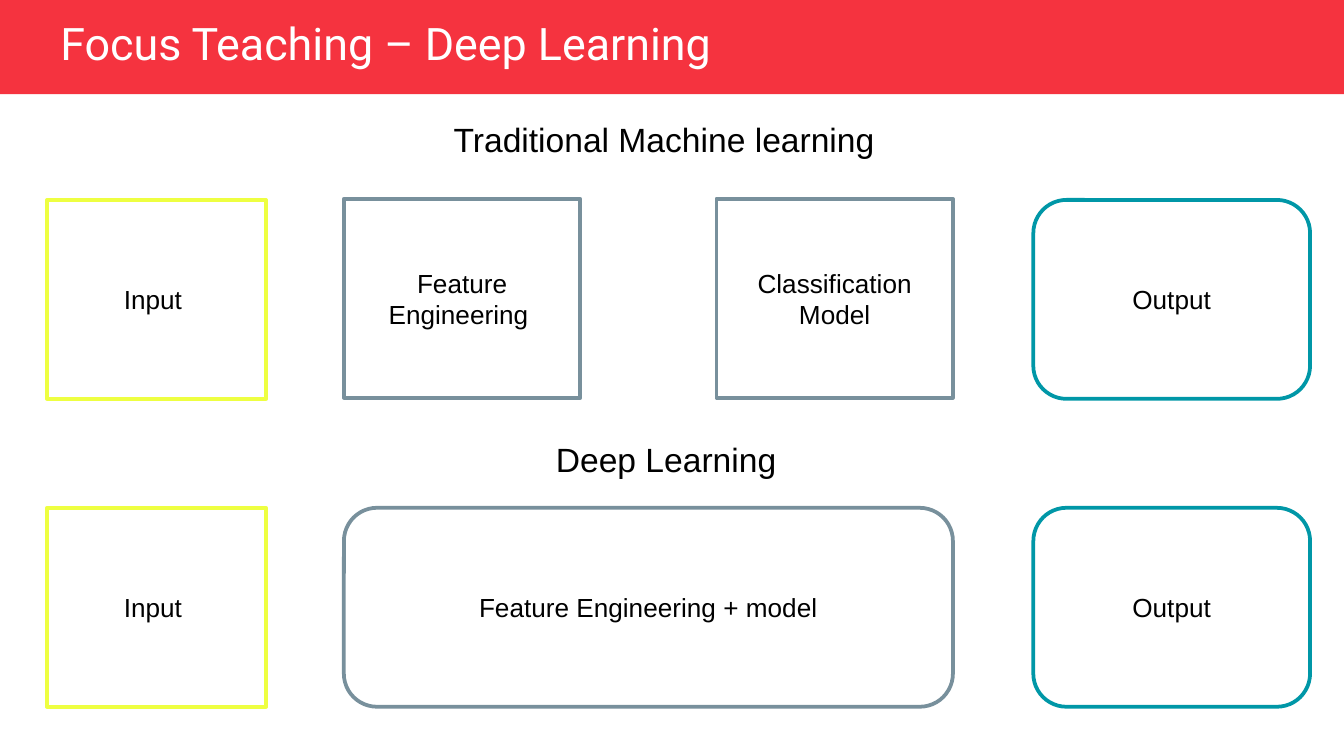
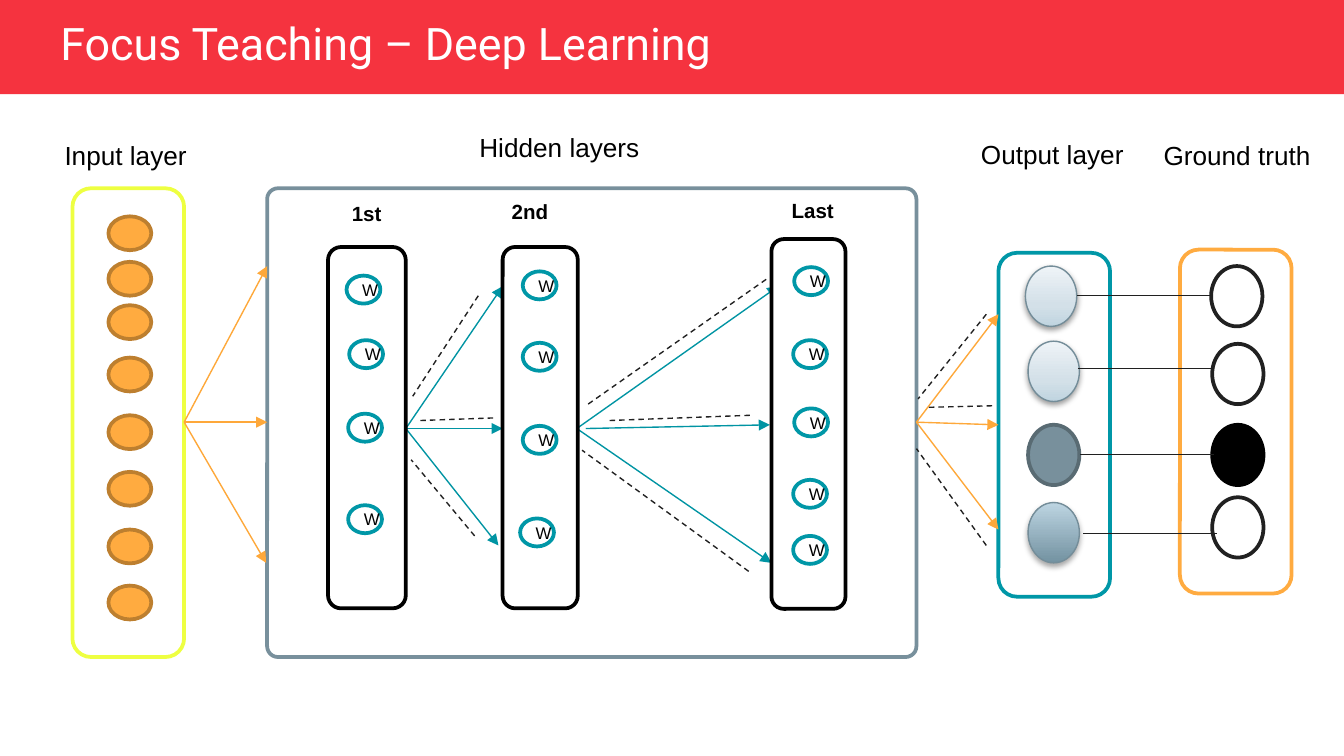
from dataclasses import dataclass
from lxml.etree import SubElement as Sub
from pptx import Presentation
from pptx.dml.color import RGBColor as Rgb
from pptx.enum.dml import MSO_LINE as Dash
from pptx.enum.shapes import MSO_CONNECTOR as Conn, MSO_SHAPE as Kind
from pptx.enum.text import MSO_ANCHOR as Anchor, MSO_AUTO_SIZE as Auto, PP_ALIGN as Align
from pptx.oxml.ns import qn
from pptx.util import Cm, Pt


@dataclass(frozen=True)
class Theme:
    red: str = "F5333F"
    white: str = "FFFFFF"
    black: str = "000000"
    yellow: str = "EEFF41"
    slate: str = "78909C"
    teal: str = "0097A7"
    orange: str = "FFAB40"
    brown: str = "BD7F2F"
    ink: str = "212121"
    steel: str = "596B73"
    rim: str = "748D99"
    flow: str = "FEA83A"
    weight: str = "0094A3"
    link: str = "202020"
    pale: tuple = ((0, "C0D4E0"), (35, "D3E0E8"), (100, "EEF3F7"))
    deep: tuple = ((0, "7392A1"), (100, "BDD5E2"))
    sans: str = "Arial"
    head: str = "Roboto"
    title: int = 24
    topic: int = 18
    text: int = 14
    tag: int = 11
    node: int = 9
    thick: float = 2
    thin: float = 0.75


T = Theme()
TITLE = "Focus Teaching – Deep Learning"


def color(code):
    return Rgb.from_string(code)


def write(frame, text, size, align=Align.CENTER, tint=T.black, face=T.sans, bold=None):
    frame.text = text
    para = frame.paragraphs[0]
    para.alignment = align
    para.font.size = Pt(size)
    para.font.name = face
    para.font.bold = bold
    para.font.color.rgb = color(tint)
    return para


def shape(part, kind, at, line=None, fill=T.white, text="", size=T.text, width=T.thick):
    item = part.add_shape(kind, *map(Cm, at))
    item.shadow.inherit = False
    item.fill.solid()
    item.fill.fore_color.rgb = color(fill)
    if line:
        item.line.color.rgb = color(line)
        item.line.width = Pt(width)
    else:
        item.line.fill.background()
    if text:
        item.text_frame.vertical_anchor = Anchor.MIDDLE
        write(item.text_frame, text, size)
    return item


def label(part, at, text, size=T.text, align=Align.LEFT, bold=None):
    frame = part.add_textbox(*map(Cm, at)).text_frame
    frame.word_wrap = True
    frame.auto_size = Auto.SHAPE_TO_FIT_TEXT
    write(frame, text, size, align, bold=bold)


def line(part, start, end, tint, arrow=False, dash=False):
    item = part.add_connector(Conn.STRAIGHT, *map(Cm, (*start, *end)))
    item.line.color.rgb = color(tint)
    item.line.width = Pt(T.thin)
    if dash:
        item.line.dash_style = Dash.DASH
    if arrow:
        Sub(item.line._get_or_add_ln(), qn("a:tailEnd"), type="triangle")
    Sub(item._element.spPr, qn("a:effectLst"))


def fan(part, start, ends, tint):
    for end in ends:
        line(part, start, end, tint, arrow=True)


def shade(item, stops, alpha, drop):
    item.fill.gradient()
    item.fill.gradient_angle = 90
    props = item._element.spPr
    bag = props.find(qn("a:gradFill")).find(qn("a:gsLst"))
    for old in list(bag):
        bag.remove(old)
    for pos, code in stops:
        stop = Sub(bag, qn("a:gs"), pos=str(pos * 1000))
        Sub(stop, qn("a:srgbClr"), val=code)
    cast = Sub(props.find(qn("a:effectLst")), qn("a:outerShdw"), blurRad=str(Pt(3.1)),
               dist=str(Pt(drop)), dir="5400000", rotWithShape="0")
    tint = Sub(cast, qn("a:srgbClr"), val=T.black)
    Sub(tint, qn("a:alpha"), val=str(alpha * 1000))


def panel(part, at, tint):
    group = part.add_group_shape().shapes
    shape(group, Kind.ROUNDED_RECTANGLE, at, tint)
    return group


def band(deck, layout):
    slide = deck.slides.add_slide(layout)
    bar = shape(slide.shapes, Kind.RECTANGLE, (0, 0, 25.4, 1.78), fill=T.red)
    layout.shapes._spTree.insert(2, bar._element)
    return slide


def head(slide):
    title = slide.shapes.title
    title.left, title.top, title.width, title.height = map(Cm, (0.89, 0.33, 16.99, 1.07))
    frame = title.text_frame
    frame.vertical_anchor = Anchor.MIDDLE
    frame.margin_left = frame.margin_right = Cm(0.25)
    frame.margin_top = frame.margin_bottom = Cm(0.13)
    write(frame, TITLE, T.title, Align.LEFT, T.white, T.head).line_spacing = 0.9
    return slide.shapes


def compare(part):
    tall = 3.76
    square, rounded = Kind.RECTANGLE, Kind.ROUNDED_RECTANGLE
    label(part, (0.89, 2.13, 23.5, 1.02), "Traditional Machine learning ", T.topic, Align.CENTER)
    label(part, (0.84, 8.18, 23.5, 1.02), "Deep Learning", T.topic, Align.CENTER)
    for top in (3.78, 9.6):
        shape(part, square, (0.89, top, 4.14, tall), T.yellow, text="Input ")
        shape(part, rounded, (19.53, top, 5.23, tall), T.teal, text="Output")
    for left, text in ((6.5, "Feature Engineering "), (13.54, "Classification Model")):
        shape(part, square, (left, 3.76, 4.47, tall), T.slate, text=text)
    shape(part, rounded, (6.5, 9.6, 11.51, tall), T.slate, text="Feature Engineering + model")


def inputs(part):
    group = panel(part, (1.37, 3.56, 2.11, 8.86), T.yellow)
    for top in (4.09, 4.95, 5.77, 6.76, 7.85, 8.92, 10.01, 11.07):
        shape(group, Kind.OVAL, (2.05, top, 0.81, 0.64), T.brown, T.orange)


def outputs(part):
    group = panel(part, (18.87, 4.78, 2.11, 6.5), T.teal)
    for left, top, stops, alpha, drop in ((19.38, 5.03, T.pale, 38, 1.6),
                                          (19.43, 6.45, T.pale, 38, 1.6),
                                          (19.43, 9.5, T.deep, 35, 1.8)):
        item = shape(group, Kind.OVAL, (left, top, 0.97, 1.14), T.rim, width=T.thin)
        shade(item, stops, alpha, drop)
    shape(group, Kind.OVAL, (19.43, 8.03, 0.97, 1.14), T.steel, T.slate)


def truth(part):
    group = panel(part, (22.3, 4.72, 2.11, 6.5), T.orange)
    for left, top, rim, fill in ((22.89, 5.03, T.ink, T.white), (22.91, 6.5, T.ink, T.white),
                                 (22.91, 8.03, T.black, T.black), (22.91, 9.4, T.ink, T.white)):
        shape(group, Kind.OVAL, (left, top, 0.97, 1.14), rim, fill)


def layer(part, at, nodes):
    group = panel(part, at, T.black)
    for left, top in nodes:
        shape(group, Kind.OVAL, (left, top, 0.64, 0.53), T.teal, text="W", size=T.node)


def network(part):
    frame = shape(part, Kind.ROUNDED_RECTANGLE, (5.05, 3.56, 12.27, 8.86), T.slate)
    frame.adjustments[0] = 0.023
    for left, top, wide, text in ((0.97, 2.51, 2.95, "Input layer"),
                                  (18.29, 2.49, 3.45, "Output layer"),
                                  (21.74, 2.51, 3.32, "Ground truth"),
                                  (8.81, 2.36, 3.86, "Hidden layers")):
        label(part, (left, top, wide, 0.86), text)
    inputs(part)
    outputs(part)
    truth(part)
    fan(part, (3.48, 7.98), ((5.05, 5.03), (5.03, 10.64), (5.05, 7.98)), T.flow)
    fan(part, (17.32, 7.98), ((18.87, 5.94), (18.87, 10.01), (18.87, 8.03)), T.flow)
    for left, top in ((20.35, 5.59), (20.37, 6.96), (20.42, 8.59), (20.47, 10.08)):
        line(part, (left, top), (left + 2.53, top), T.link)
    for left, top, text in ((6.4, 3.68, "1st"), (9.42, 3.63, "2nd"), (14.71, 3.61, "Last")):
        label(part, (left, top, 1.47, 0.74), text, T.tag, bold=True)
    fan(part, (7.67, 8.1), ((9.5, 5.41), (9.42, 10.31), (9.5, 8.1)), T.weight)
    fan(part, (10.9, 8.1), ((14.71, 5.41), (14.58, 10.64)), T.weight)
    fan(part, (11.07, 8.1), ((14.55, 8.03),), T.weight)
    for start, end in (((18.64, 5.94), (17.35, 7.54)), ((18.64, 10.31), (17.32, 8.48)),
                       ((18.75, 7.67), (17.5, 7.7)), ((14.48, 5.28), (11.07, 7.67)),
                       ((14.15, 10.8), (11, 8.51)), ((14.17, 7.85), (11.48, 7.95)),
                       ((9.32, 7.9), (7.9, 7.95)), ((9.04, 5.59), (7.8, 7.49)),
                       ((8.97, 10.13), (7.77, 8.69))):
        line(part, start, end, T.ink, dash=True)
    layer(part, (6.2, 4.67, 1.47, 6.83),
          ((6.55, 5.21), (6.6, 6.43), (6.58, 7.82), (6.58, 9.55)))
    layer(part, (9.5, 4.67, 1.42, 6.83),
          ((9.88, 5.13), (9.88, 6.48), (9.88, 8.05), (9.83, 9.8)))
    layer(part, (14.58, 4.52, 1.4, 6.99),
          ((15.01, 5.05), (14.99, 6.43), (15.01, 7.72), (14.99, 9.07), (14.99, 10.13)))


def main():
    deck = Presentation()
    deck.slide_width, deck.slide_height = Cm(25.4), Cm(14.29)
    layout = deck.slide_layouts[5]
    compare(head(band(deck, layout)))
    network(head(deck.slides.add_slide(layout)))
    deck.save("out.pptx")


if __name__ == "__main__":
    main()
